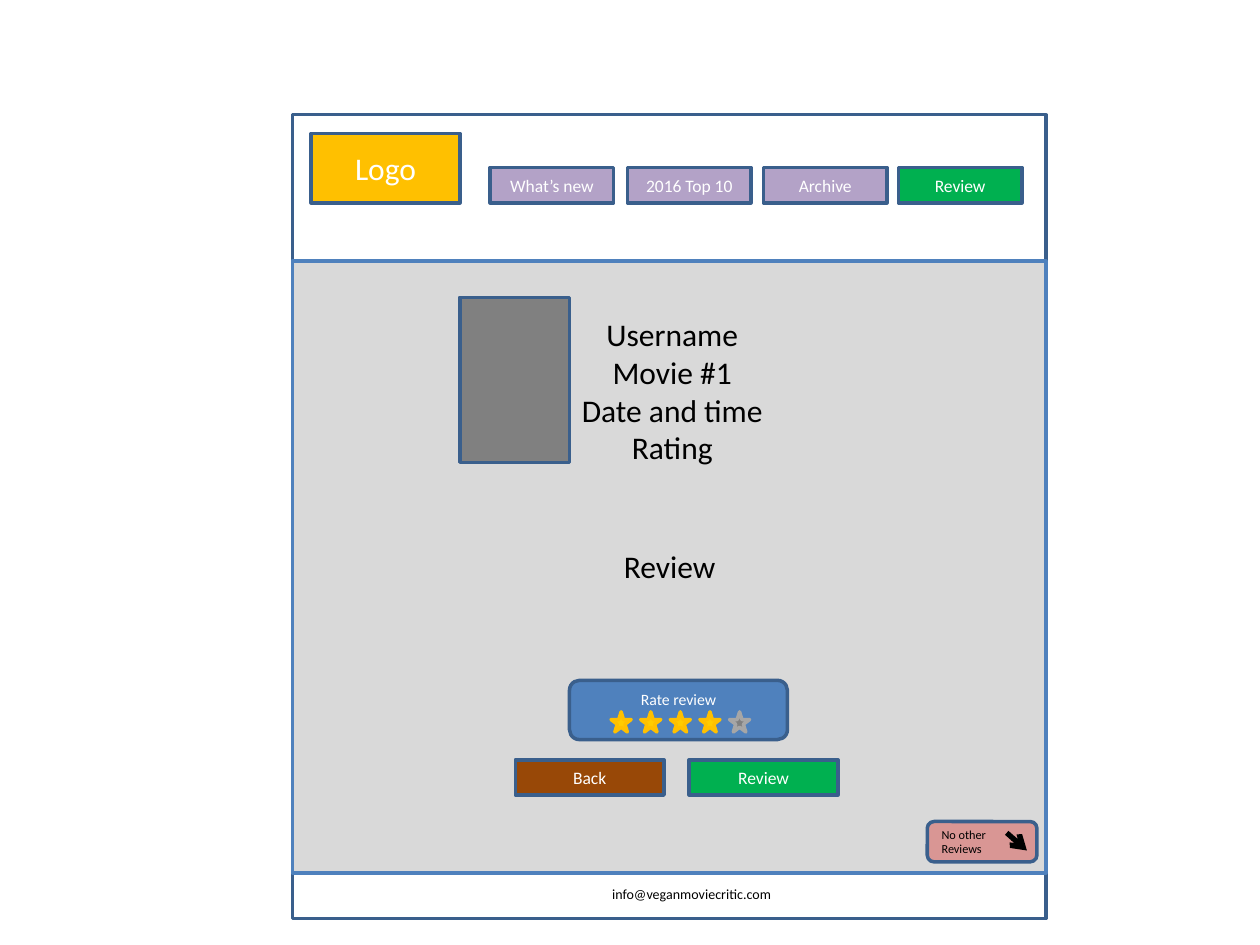
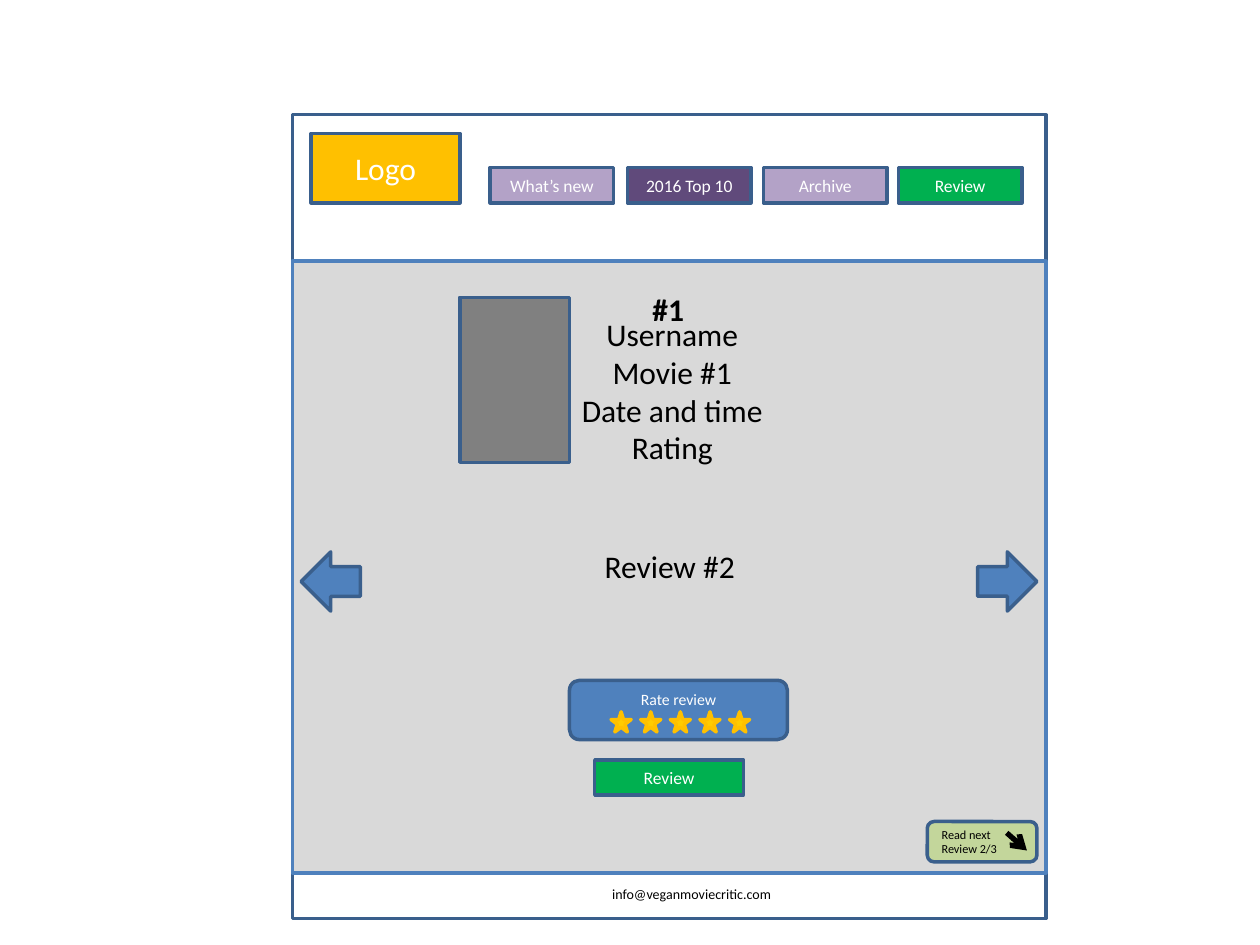
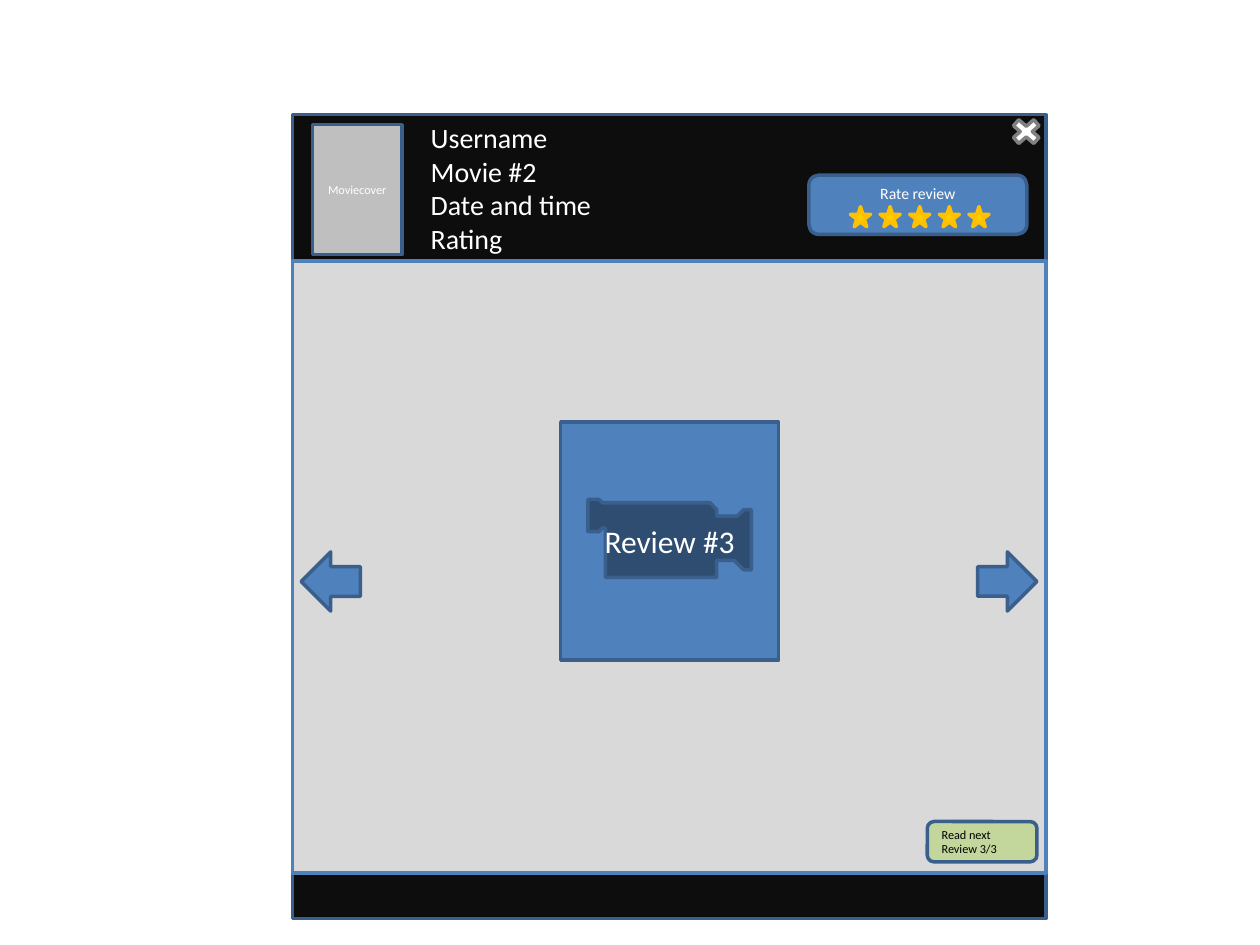
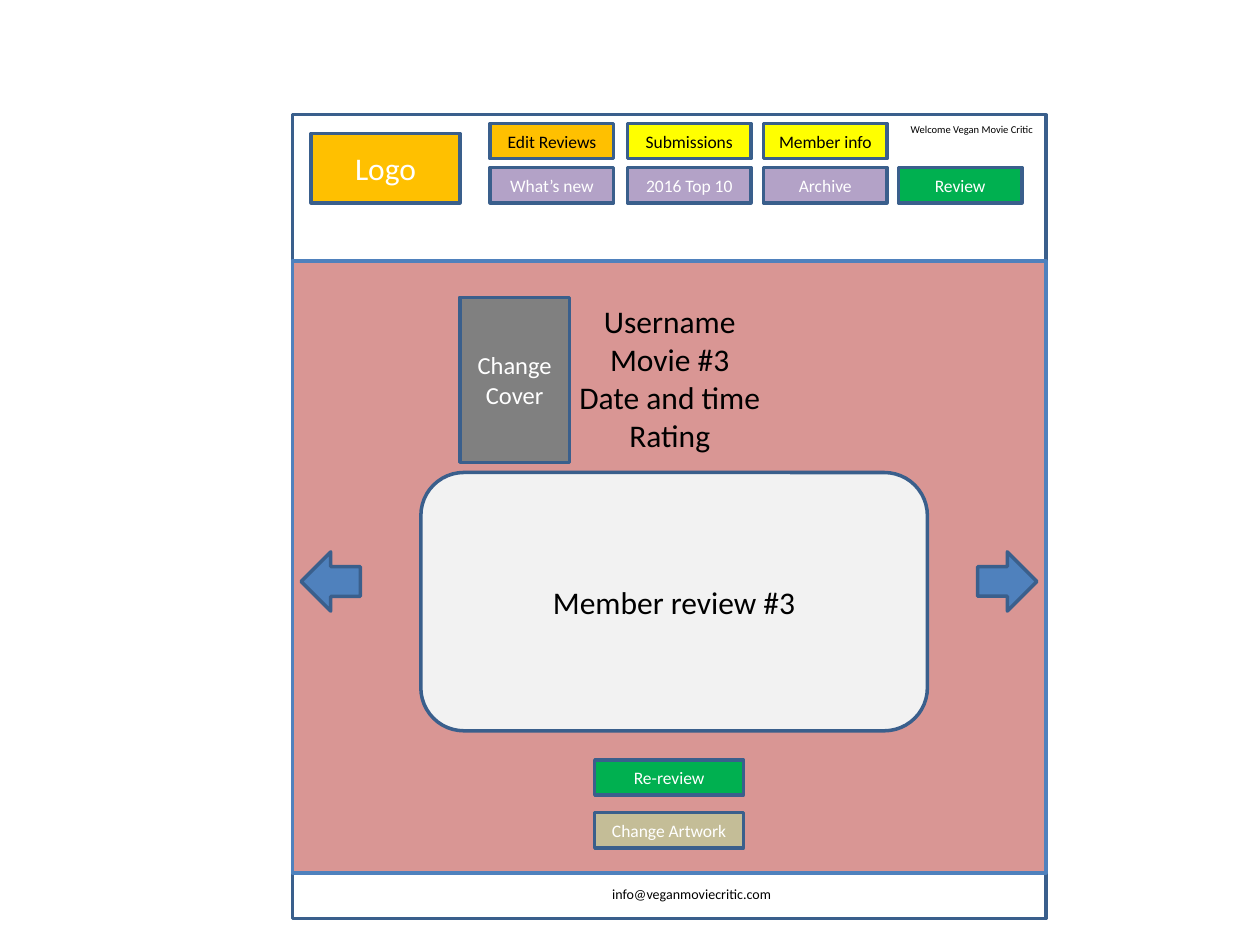
from lxml import etree
from pptx import Presentation, util as u
from pptx.dml.color import RGBColor
from pptx.enum import shapes, text
from pptx.oxml.ns import qn

FONT = "Calibri"
WHITE, BLACK, NEAR_BLACK = "FFFFFF", "000000", "0D0D0D"
BLUE, EDGE = "4F81BD", "3A5F8C"
GREEN, GOLD, STAR, YELLOW = "00B050", "FFC000", "FFCC00", "FFFF00"
LILAC, PURPLE, PINK, LIME = "B3A2C7", "604A7B", "D99694", "C3D69B"
BROWN, KHAKI = "984807", "C4BD97"
PALE, LIGHT, SILVER, GRAY, STAR_EDGE = "F2F2F2", "D9D9D9", "BFBFBF", "808080", "A6A6A6"

S = shapes.MSO_SHAPE
CENTER, LEFT = text.PP_ALIGN.CENTER, text.PP_ALIGN.LEFT
MIDDLE, TOP = text.MSO_ANCHOR.MIDDLE, text.MSO_ANCHOR.TOP

PAGE = (2.32, 0.91, 5.98, 6.38)
BODY = (2.32, 2.07, 5.98, 4.86)
COVER = (3.65, 2.36, 0.87, 1.31)
NAV_X, NAV_W, BUTTON_H = (3.89, 4.98, 6.06, 7.13), 0.98, 0.28
NAV_Y, ADMIN_Y = 1.33, 0.98
ACTION_W, ACTION_Y = 1.18, 6.03
STAR_COUNT, STAR_SIZE, STAR_STEP = 5, 0.16, 0.235

NAV = ["What’s new", "2016 Top 10", "Archive", "Review"]
ADMIN = [("Edit Reviews", GOLD), ("Submissions", YELLOW), ("Member info", YELLOW)]
EMAIL = "info@veganmoviecritic.com"

# One entry per standard page; the video page has its own layout.
SINGLE = dict(
    movie="Movie #1", details=(4.39, 2.45), review="Review", rated=4,
    actions=[("Back", BROWN, 4.09, ACTION_Y), ("Review", GREEN, 5.47, ACTION_Y)],
    next=("No other Reviews", PINK))
TOP_TEN = dict(
    movie="Movie #1", details=(4.39, 2.45), review="Review #2", rated=5,
    rank="#1", active="2016 Top 10", arrows=True,
    actions=[("Review", GREEN, 4.72, ACTION_Y)],
    next=("Read next Review 2/3", LIME))
MEMBER = dict(
    movie="Movie #3", details=(4.37, 2.35), body=PINK, cover="Change Cover",
    member_review="Member review #3", admin=ADMIN, arrows=True,
    welcome="Welcome Vegan Movie Critic",
    actions=[("Re-review", GREEN, 4.72, ACTION_Y),
             ("Change Artwork", KHAKI, 4.72, 6.45)])


def rgb(code):
    """Turn a hex string into a colour."""
    return RGBColor.from_string(code)


def write(sp, words, size, color, align=CENTER, anchor=MIDDLE, bold=None, indent=0):
    """Put text into a shape, one paragraph a line, and format it."""
    tf = sp.text_frame
    tf.word_wrap = True
    tf.vertical_anchor = anchor
    tf.text = words
    for p in tf.paragraphs:
        p.alignment = align
        if indent:
            p._p.get_or_add_pPr().set("marL", str(u.Inches(indent)))
        for r in p.runs:
            r.font.name, r.font.size, r.font.bold = FONT, u.Pt(size), bold
            r.font.color.rgb = rgb(color)


def shape(parent, kind, box, fill, line=EDGE, width=2):
    """Add a filled and outlined preset shape."""
    sp = parent.shapes.add_shape(kind, *map(u.Inches, box))
    sp.shadow.inherit = False
    sp.fill.solid()
    sp.fill.fore_color.rgb = rgb(fill)
    sp.line.color.rgb = rgb(line)
    sp.line.width = u.Pt(width)
    return sp


def label(s, words, box, size, align=CENTER, bold=None):
    """Add a text box in black."""
    write(s.shapes.add_textbox(*map(u.Inches, box)), words, size, BLACK,
          align, TOP, bold)


def button(s, words, fill, x, y, w, color=WHITE):
    """Add a rectangular button."""
    write(shape(s, S.RECTANGLE, (x, y, w, BUTTON_H), fill), words, 10, color)


def frame(s, page=WHITE, body=LIGHT):
    """Draw the page and its body band; return the page shape."""
    sp = shape(s, S.RECTANGLE, PAGE, page)
    shape(s, S.RECTANGLE, BODY, body, BLUE)
    return sp


def header(s, active=None, admin=(), welcome=None):
    """Draw the logo box, the menus and the footer address."""
    write(shape(s, S.RECTANGLE, (2.47, 1.06, 1.18, 0.55), GOLD), "Logo", 18, WHITE)
    for x, name in zip(NAV_X, NAV):
        fill = PURPLE if name == active else GREEN if name == "Review" else LILAC
        button(s, name, fill, x, NAV_Y, NAV_W)
    for x, (name, fill) in zip(NAV_X, admin):
        button(s, name, fill, x, ADMIN_Y, NAV_W, BLACK)
    if welcome:
        label(s, welcome, (7.13, 0.93, 1.76, 0.2), 6, LEFT)
    label(s, EMAIL, (4.76, 6.98, 1.57, 0.24), 8, LEFT)


def side_arrows(s):
    """Draw the arrows to the previous and the next review."""
    for x, turn in ((7.76, 0), (2.39, 180)):
        shape(s, S.RIGHT_ARROW, (x, 4.38, 0.47, 0.47), BLUE).rotation = turn


def rating(s, x, y, rated):
    """Draw the grouped rating panel with its stars."""
    g = s.shapes.add_group_shape()
    panel = shape(g, S.ROUNDED_RECTANGLE, (x, y, 1.73, 0.47), BLUE)
    write(panel, "Rate review", 9, WHITE, anchor=TOP)
    for i in range(STAR_COUNT):
        fill, line = (STAR, GOLD) if i < rated else (GRAY, STAR_EDGE)
        box = (x + 0.33 + i * STAR_STEP, y + 0.25, STAR_SIZE, STAR_SIZE)
        shape(g, S.STAR_5_POINT, box, fill, line)


def next_review(s, words, fill, arrow=True):
    """Draw the box that leads to the next review."""
    sp = shape(s, S.ROUNDED_RECTANGLE, (7.36, 6.52, 0.87, 0.32), fill)
    write(sp, words, 7, BLACK, LEFT)
    if arrow:
        ends = map(u.Inches, (7.99, 6.61, 8.15, 6.75))
        c = s.shapes.add_connector(shapes.MSO_CONNECTOR.STRAIGHT, *ends)
        c.line.color.rgb = rgb(BLACK)
        c.line.width = u.Pt(3)
        etree.SubElement(c.line._get_or_add_ln(), qn("a:tailEnd"), type="arrow")
        etree.SubElement(c._element.spPr, qn("a:effectLst"))


def details(movie):
    """Return the lines that describe a review."""
    return "\n".join(("Username", movie, "Date and time", "Rating"))


def review_page(s, page):
    """Build a page with the site header."""
    frame(s, body=page.get("body", LIGHT))
    header(s, page.get("active"), page.get("admin", ()), page.get("welcome"))
    cover = shape(s, S.RECTANGLE, COVER, GRAY)
    if "cover" in page:
        write(cover, page["cover"], 14, WHITE)
    if "rank" in page:
        label(s, page["rank"], (5.08, 2.25, 0.47, 0.4), 18, LEFT, True)
    label(s, details(page["movie"]), (*page["details"], 1.89, 1.31), 18)
    if "review" in page:
        label(s, page["review"], (4.37, 4.29, 1.89, 0.4), 18)
    if "member_review" in page:
        sp = shape(s, S.ROUNDED_RECTANGLE, (3.34, 3.75, 4.02, 2.05), PALE)
        write(sp, page["member_review"], 18, BLACK)
    if page.get("arrows"):
        side_arrows(s)
    if "rated" in page:
        rating(s, 4.52, 5.4, page["rated"])
    for name, fill, x, y in page["actions"]:
        button(s, name, fill, x, y, ACTION_W)
    if "next" in page:
        next_review(s, *page["next"])


def video_page(s):
    """Build the dark page that plays a video review."""
    write(frame(s, NEAR_BLACK), details("Movie #2"), 16, WHITE, LEFT, TOP, indent=1)
    movie = shape(s, S.ACTION_BUTTON_MOVIE, (4.45, 3.35, 1.73, 1.89), BLUE)
    write(movie, "Review #3", 18, WHITE)
    shape(s, S.MATH_MULTIPLY, (7.99, 0.91, 0.31, 0.27), WHITE, GRAY)
    rating(s, 6.42, 1.39, 5)
    cover = shape(s, S.RECTANGLE, (2.48, 0.99, 0.71, 1.03), SILVER)
    write(cover, "Moviecover", 7, WHITE)
    side_arrows(s)
    next_review(s, "Read next Review 3/3", LIME, arrow=False)


prs = Presentation()
prs.slide_width, prs.slide_height = u.Inches(10), u.Inches(7.5)
blank = prs.slide_layouts[6]
for page in (SINGLE, TOP_TEN, None, MEMBER):
    s = prs.slides.add_slide(blank)
    if page:
        review_page(s, page)
    else:
        video_page(s)
prs.save("out.pptx")
